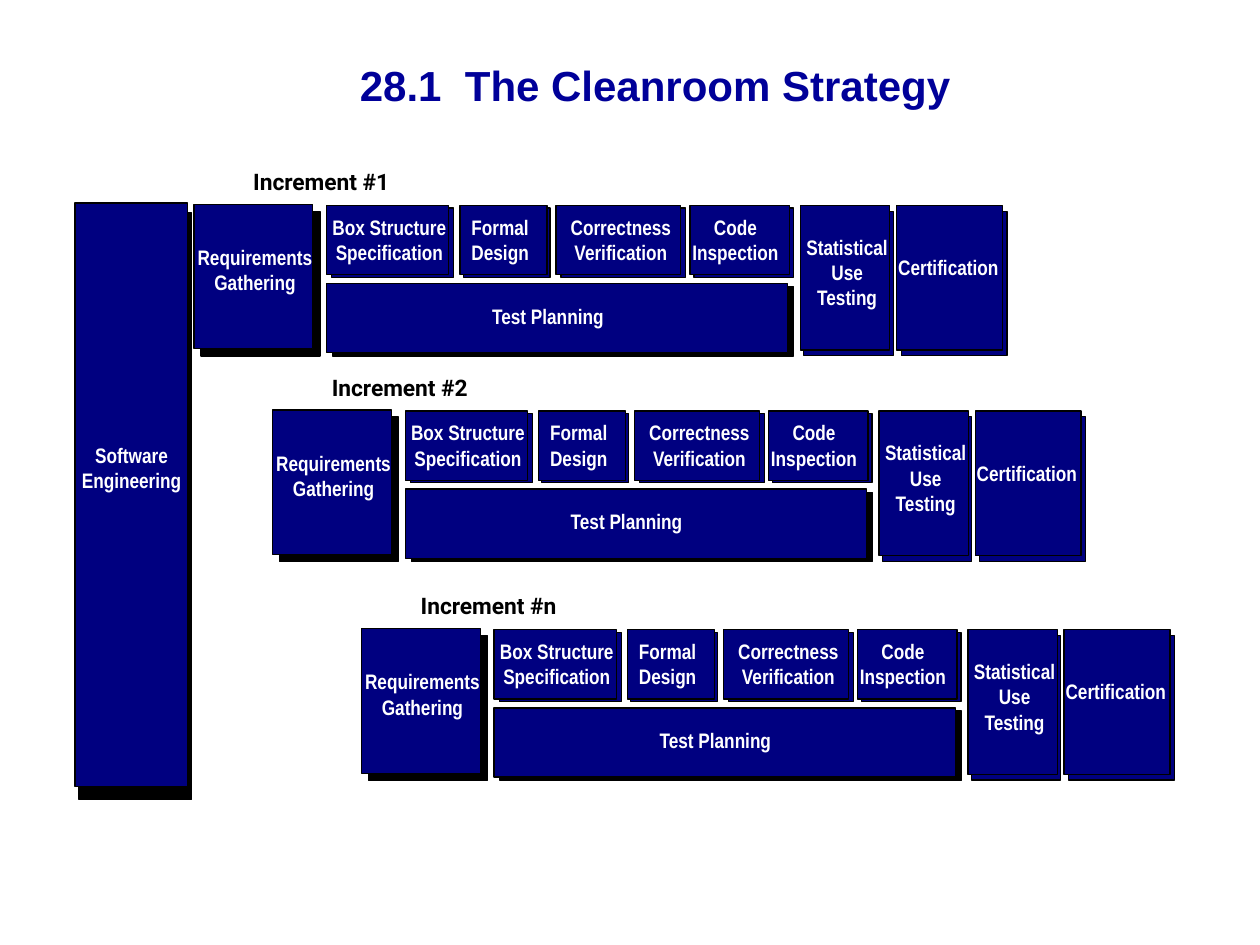
from dataclasses import dataclass

from lxml import etree
from pptx import Presentation
from pptx.dml.color import RGBColor
from pptx.enum import shapes, text
from pptx.oxml import ns
from pptx.util import Pt

NAVY, BLACK, WHITE, TITLE_BLUE = "000080", "000000", "FFFFFF", "000099"
LINE_HEIGHT = 14.4


@dataclass(frozen=True)
class Block:
    """A phase box; positions are relative to the increment's origin."""
    label: str
    x: float
    y: float
    w: float
    h: float
    text_x: float
    text_y: float
    text_w: float
    back: tuple[float, float] | None = None  # offset of the box behind
    back_fill: str = NAVY


@dataclass(frozen=True)
class Increment:
    name: str
    x: float
    y: float


SHORT, TALL = 39.6, 82.6
PHASES = [
    Block("Requirements\nGathering", 0, 0, 67.9, TALL, 1, 23, 67.6),
    Block("Box Structure\nSpecification", 75.8, 0.6, 69.8, SHORT, 77.8, 5.7, 67.6, (2.9, 1.4)),
    Block("Formal\nDesign", 152, 0.6, 49.7, SHORT, 157.4, 5.7, 35, (1.8, 1.4)),
    Block("Correctness\nVerification", 206.8, 0.6, 71.3, SHORT, 214.1, 5.7, 59.6, (2.9, 1.4)),
    Block("Code\nInspection", 283.4, 0.6, 56.9, SHORT, 283.4, 5.7, 52, (2.2, 1.4)),
    Block("Test Planning", 75.8, 45.2, 263.5, SHORT, 168.8, 56.6, 66.8, (3.4, 1.8), BLACK),
    Block("Statistical\nUse\nTesting", 346.5, 0.6, 51.1, TALL, 348.8, 17.1, 48.8, (1.9, 3.3)),
    Block("Certification", 401.5, 0.6, 60.5, TALL, 401.2, 28.6, 59.6, (2.6, 3.3)),
]
ENGINEERING = Block("Software\nEngineering", 0, 0, 64.3, 333.4, 2.8, 136.8, 59,
                    (2.2, 5.6), BLACK)
INCREMENTS = [
    Increment("Increment #1", 110.9, 116.8),
    Increment("Increment #2", 155.8, 234.3),
    Increment("Increment #n", 206.6, 359.3),
]


def color(value: str) -> RGBColor:
    return RGBColor.from_string(value)


def add_text(parent, label: str, x: float, y: float, w: float, h: float, font: str,
             size: float, fill: str, align=text.PP_ALIGN.CENTER):
    s = parent.add_textbox(Pt(x), Pt(y), Pt(w), Pt(h))
    tf = s.text_frame
    tf.word_wrap = False
    tf.auto_size = text.MSO_AUTO_SIZE.SHAPE_TO_FIT_TEXT
    tf.margin_left = tf.margin_top = tf.margin_right = tf.margin_bottom = 0
    tf.text = label
    for p in tf.paragraphs:
        p.alignment = align
        for r in p.runs:
            r.font.name, r.font.size, r.font.bold = font, Pt(size), True
            r.font.color.rgb = color(fill)
    return tf


def add_box(parent, x: float, y: float, w: float, h: float, fill: str):
    s = parent.add_shape(shapes.MSO_SHAPE.RECTANGLE, Pt(x), Pt(y), Pt(w), Pt(h))
    s.shadow.inherit = False
    s.fill.solid()
    s.fill.fore_color.rgb = color(fill)
    s.line.color.rgb = color(BLACK)
    s.line.width = Pt(0.75)
    return s


def add_drop_shadow(s) -> None:
    effects = s._element.spPr.find(ns.qn("a:effectLst"))
    shadow = etree.SubElement(effects, ns.qn("a:outerShdw"), dist=str(Pt(5.7)),
                              dir=str(45 * 60000), algn="ctr", rotWithShape="0")
    etree.SubElement(shadow, ns.qn("a:srgbClr"), val=BLACK)


def add_block(parent, b: Block, x: float, y: float) -> None:
    if b.back:
        dx, dy = b.back
        # The tall box behind Software Engineering is a little longer
        extra = 2.1 if b is ENGINEERING else 0
        add_box(parent, x + b.x + dx, y + b.y + dy, b.w, b.h + extra, b.back_fill)
    s = add_box(parent, x + b.x, y + b.y, b.w, b.h, NAVY)
    if not b.back:
        add_drop_shadow(s)
    add_text(parent, b.label, x + b.text_x, y + b.text_y, b.text_w,
             LINE_HEIGHT * len(b.label.split("\n")), "Arial Narrow", 12, WHITE)


def add_increment(parent, inc: Increment) -> None:
    add_text(parent, inc.name, inc.x + 33.8, inc.y - 20.9, 82, 15.8,
             "Roboto", 13, BLACK, text.PP_ALIGN.LEFT)
    for phase in PHASES:
        add_block(parent, phase, inc.x, inc.y)


def main() -> None:
    prs = Presentation()
    prs.slide_width, prs.slide_height = Pt(720), Pt(540)
    slide = prs.slides.add_slide(prs.slide_layouts[6])

    # Title
    tf = add_text(slide.shapes, "28.1  The Cleanroom Strategy", 64.8, 15.1, 619.2, 67,
                  "Arial", 24, TITLE_BLUE)
    tf.word_wrap = True
    tf.auto_size = text.MSO_AUTO_SIZE.NONE
    tf.vertical_anchor = text.MSO_ANCHOR.MIDDLE

    # Software engineering column
    add_block(slide.shapes.add_group_shape().shapes, ENGINEERING, 42.9, 116)

    # Increments, each a group
    for inc in INCREMENTS:
        add_increment(slide.shapes.add_group_shape().shapes, inc)

    prs.save("out.pptx")


if __name__ == "__main__":
    main()
